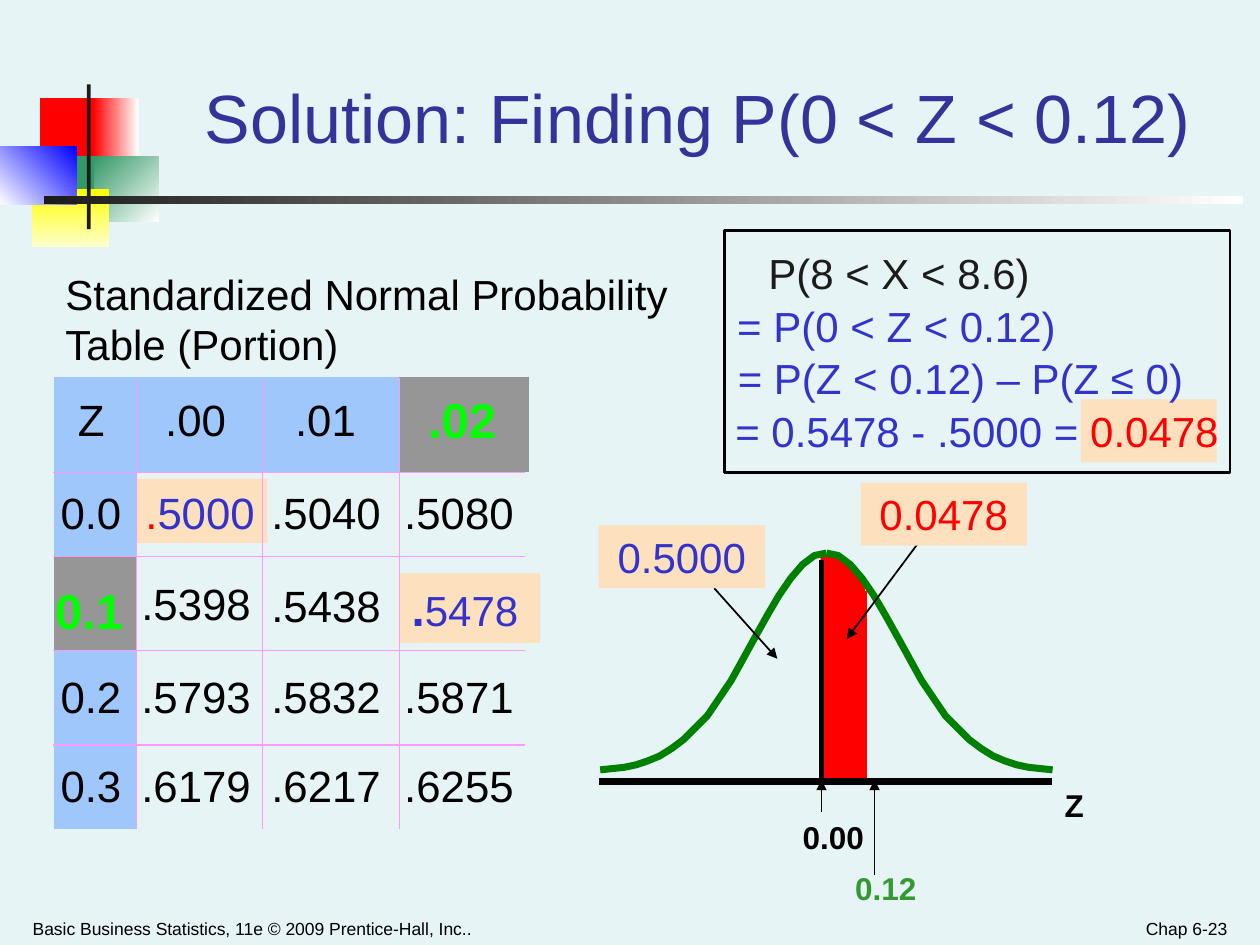
"""Build the slide that finds P(0 < Z < 0.12) from a standardized normal table."""
from dataclasses import dataclass
from itertools import accumulate
from typing import NamedTuple, Optional

from lxml.etree import SubElement
from pptx import Presentation
from pptx.dml.color import RGBColor
from pptx.enum.shapes import MSO_CONNECTOR, MSO_SHAPE
from pptx.enum.text import MSO_ANCHOR, PP_ALIGN
from pptx.oxml.ns import qn
from pptx.util import Cm, Pt


@dataclass(frozen=True)
class Theme:
    font: str = "Arial"
    back: str = "E7F4F5"
    black: str = "000000"
    dark: str = "1C1C1C"
    white: str = "FFFFFF"
    title: str = "333399"
    blue: str = "3333CC"
    red: str = "FF0000"
    lime: str = "00FF00"
    green: str = "339933"
    curve: str = "008000"
    head: str = "A0C7FC"
    gray: str = "969696"
    peach: str = "FDE0BD"
    grid: str = "FF99FF"
    title_pt: float = 39
    cell_pt: float = 25
    mark_pt: float = 28
    body_pt: float = 24
    axis_pt: float = 18
    foot_pt: float = 10


T = Theme()


class Box(NamedTuple):
    x: float
    y: float
    w: float
    h: float


class Block(NamedTuple):
    box: Box
    color: str
    end: Optional[str] = None
    angle: float = 0


class Line(NamedTuple):
    start: tuple
    end: tuple
    width: float = 1
    arrow: bool = True
    color: str = T.black


class Run(NamedTuple):
    text: str
    color: str = T.black
    size: float = T.body_pt
    bold: bool = False


class Mark(NamedTuple):
    runs: list
    shift: float
    drop: float = 0


BLOCKS = [
    Block(Box(0.81, 1.98, 1.22, 1.32), T.red),
    Block(Box(1.88, 1.98, 0.91, 1.32), T.red, T.white),
    Block(Box(1.9, 3.15, 1.3, 1.32), "339966", T.white, 45),
    Block(Box(1.09, 3.15, 0.81, 1.32), "339966"),
    Block(Box(0.64, 3.81, 1.55, 1.17), "FFFF00", "FFFFCC", 90),
    Block(Box(0, 2.95, 1.55, 1.17), T.white, "0000FF", 315),
    Block(Box(1.75, 1.7, 0.08, 2.92), T.dark),
    Block(Box(0.89, 3.96, 24.16, 0.15), T.dark, T.white),
    Block(Box(21.79, 8.05, 2.74, 1.27), T.peach),
    Block(Box(2.67, 9.65, 2.72, 1.3), T.peach),
    Block(Box(8.05, 11.56, 2.84, 1.4), T.peach),
]
ROWS = [
    ["Z", ".00", ".01", ".02"],
    ["0.0", ".5000", ".5040", ".5080"],
    ["0.1", ".5398", ".5438", ".5478"],
    ["0.2", ".5793", ".5832", ".5871"],
    ["0.3", ".6179", ".6217", ".6255"],
]
TABLE_X, TABLE_Y = 1.09, 7.59
COL_WIDTHS = [1.66, 2.54, 2.76, 2.62]
ROW_HEIGHTS = [1.93, 1.7, 1.9, 1.9, 1.7]
INDENTS = [0.13, 0.1, 0.18, 0.1]
HEAD_SHIFTS = [0.35, 0.48, 0.48, 0.48]
HEAD_LIFT = 0.12
MARKS = {
    (0, 3): Mark([Run(".02", T.lime, T.mark_pt, True)], HEAD_SHIFTS[3]),
    (2, 0): Mark([Run("0.1", T.lime, T.mark_pt, True)], -0.11, 0.37),
    (1, 1): Mark([Run(".", T.red, T.cell_pt), Run("5000", T.blue, T.cell_pt)], 0.08),
    (2, 3): Mark([Run(".", T.blue, 27, True), Run("5478", T.blue)], 0.15, 0.25),
    (2, 1): Mark([Run(".5398", size=T.cell_pt)], 0, 0.08),
    (2, 2): Mark([Run(".5438", size=T.cell_pt)], 0, 0.16),
}
MEAN_X, CURVE_STEP = 16.66, 0.24
CURVE = [(19, 15.52), (17, 15.47), (16, 15.42), (15, 15.34), (14, 15.24), (13, 15.09),
         (12, 14.91), (10, 14.43), (8, 13.72), (6, 12.85), (5, 12.42), (4, 12.01),
         (3, 11.66), (2, 11.38), (1, 11.2), (0, 11.15)]
AREA = [(16.56, 15.75), (16.56, 11.23), (16.89, 11.23), (17.15, 11.43),
        (17.4, 11.79), (17.43, 11.94), (17.43, 15.75)]
AREA_EDGE = Line((17.4, 11.91), (17.4, 15.72), 5, False, T.red)
MEAN_LINE = Line((16.56, 11.28), (16.56, 15.72), 2.5, False)
LINES = [
    Line((12.07, 15.75), (21.21, 15.75), 4, False),
    Line((18.62, 10.8), (17.07, 12.88)),
    Line((14.4, 11.86), (15.67, 13.28)),
    Line((16.56, 16.36), (16.56, 15.72)),
    Line((17.63, 17.63), (17.63, 15.72)),
]
FORMULAS = [
    (15.24, 5.77, [Run("P(8 < X < 8.6)", T.dark)]),
    (14.61, 6.93, [Run("= P(0 < Z < 0.12)", T.blue)]),
    (14.13, 10.47, [Run("= P(Z < 0.12) – P(Z ≤ 0)", T.blue)]),
    (14.4, 10.59, [Run("= 0.5478 - .5000 = ", T.blue), Run("0.0478", T.red)]),
]


def rgb(color: str) -> RGBColor:
    return RGBColor.from_string(color)


def write(p, runs: list) -> None:
    for item in runs:
        r = p.add_run()
        r.text = item.text
        r.font.name, r.font.size, r.font.bold = T.font, Pt(item.size), item.bold
        r.font.color.rgb = rgb(item.color)


def add_text(s, box: Box, *paragraphs: list, align=PP_ALIGN.LEFT, anchor=MSO_ANCHOR.TOP,
             wrap: bool = True, fill: Optional[str] = None, spacing: float = 1):
    sp = s.shapes.add_textbox(*map(Cm, box))
    if fill:
        sp.fill.solid()
        sp.fill.fore_color.rgb = rgb(fill)
    tf = sp.text_frame
    tf.word_wrap, tf.vertical_anchor = wrap, anchor
    for i, runs in enumerate(paragraphs):
        p = tf.add_paragraph() if i else tf.paragraphs[0]
        p.alignment, p.line_spacing = align, spacing
        write(p, runs)
    return sp


def add_block(s, block: Block) -> None:
    sp = s.shapes.add_shape(MSO_SHAPE.RECTANGLE, *map(Cm, block.box))
    sp.shadow.inherit = False
    sp.line.fill.background()
    if block.end is None:
        sp.fill.solid()
        sp.fill.fore_color.rgb = rgb(block.color)
        return
    sp.fill.gradient()
    sp.fill.gradient_angle = -block.angle % 360
    for stop, color in zip(sp.fill.gradient_stops, (block.color, block.end)):
        stop.color.rgb = rgb(color)


def add_line(s, line: Line) -> None:
    sp = s.shapes.add_connector(MSO_CONNECTOR.STRAIGHT, *map(Cm, line.start + line.end))
    sp.line.color.rgb, sp.line.width = rgb(line.color), Pt(line.width)
    if line.arrow:
        SubElement(sp._element.spPr.find(qn("a:ln")), qn("a:tailEnd"), type="triangle")
    SubElement(sp._element.spPr, qn("a:effectLst"))


def add_outline(s, points: list, color: str, width: float, closed: bool) -> None:
    pts = [(Cm(x), Cm(y)) for x, y in points]
    builder = s.shapes.build_freeform(*pts[0])
    builder.add_line_segments(pts[1:], close=closed)
    sp = builder.convert_to_shape()
    sp.shadow.inherit = False
    sp.line.color.rgb, sp.line.width = rgb(color), Pt(width)
    if closed:
        sp.fill.solid()
        sp.fill.fore_color.rgb = rgb(color)
    else:
        sp.fill.background()


def add_half_curve(s, side: int) -> None:
    points = [(MEAN_X + side * k * CURVE_STEP, y) for k, y in CURVE]
    add_outline(s, points, T.curve, 4, False)


def add_z_table(s) -> None:
    box = Box(TABLE_X, TABLE_Y, sum(COL_WIDTHS), sum(ROW_HEIGHTS))
    table = s.shapes.add_table(len(ROWS), len(COL_WIDTHS), *map(Cm, box)).table
    table.first_row = table.horz_banding = False
    style = table._tbl.tblPr.find(qn("a:tableStyleId"))
    style.text = "{2D5ABB26-0587-4C30-8999-92F81FD0307C}"
    for col, width in zip(table.columns, COL_WIDTHS):
        col.width = Cm(width)
    for i, height in enumerate(ROW_HEIGHTS):
        table.rows[i].height = Cm(height)
        for j, text in enumerate(ROWS[i]):
            cell = table.cell(i, j)
            plain = Mark([Run(text, size=T.cell_pt)], 0 if i else HEAD_SHIFTS[j])
            mark = MARKS.get((i, j), plain)
            cell.vertical_anchor = MSO_ANCHOR.MIDDLE
            cell.margin_left, cell.margin_top = Cm(INDENTS[j] + mark.shift), Cm(mark.drop)
            cell.margin_right, cell.margin_bottom = 0, Cm(0 if i else HEAD_LIFT)
            write(cell.text_frame.paragraphs[0], mark.runs)
            if i and j:
                cell.fill.background()
            else:
                cell.fill.solid()
                cell.fill.fore_color.rgb = rgb(T.gray if (i, j) in MARKS else T.head)
    for x in list(accumulate(COL_WIDTHS, initial=TABLE_X))[1:-1]:
        add_line(s, Line((x, 7.62), (x, 16.71), 0.75, False, T.grid))
    for y in list(accumulate(ROW_HEIGHTS, initial=TABLE_Y))[1:-1]:
        add_line(s, Line((1.07, y), (10.59, y), 0.75, False, T.grid))


def main() -> None:
    prs = Presentation()
    prs.slide_width, prs.slide_height = Cm(25.4), Cm(19.05)
    s = prs.slides.add_slide(prs.slide_layouts[6])
    s.background.fill.solid()
    s.background.fill.fore_color.rgb = rgb(T.back)
    for block in BLOCKS:
        add_block(s, block)
    add_text(s, Box(3.18, 0.84, 21.79, 3.18),
             [Run("Solution: Finding P(0 < Z < 0.12)", T.title, T.title_pt)],
             align=PP_ALIGN.CENTER, anchor=MSO_ANCHOR.MIDDLE, spacing=0.95)
    sp = add_text(s, Box(1.07, 5.28, 12.7, 2.21),
                  [Run("Standardized Normal Probability")], [Run("Table (Portion)")])
    p = sp.text_frame.paragraphs[1]
    p.line_spacing, p.space_before = 0.4, Pt(15)
    add_z_table(s)
    add_outline(s, AREA, T.red, 1, True)
    add_half_curve(s, 1)
    add_line(s, AREA_EDGE)
    add_line(s, MEAN_LINE)
    add_half_curve(s, -1)
    for line in LINES:
        add_line(s, line)
    frame = add_text(s, Box(14.61, 4.65, 10.19, 4.88))
    frame.line.color.rgb, frame.line.width = rgb(T.black), Pt(1.5)
    for i, (x, w, runs) in enumerate(FORMULAS):
        add_text(s, Box(x, 4.87 + 1.06 * i, w, 1.27), runs, align=PP_ALIGN.CENTER)
    for x, y, text, color in [(17.35, 9.73, "0.0478", T.red), (12.07, 10.59, "0.5000", T.blue)]:
        add_text(s, Box(x, y, 3.35, 1.27), [Run(text, color)], align=PP_ALIGN.CENTER, fill=T.peach)
    for x, y, w, text, color in [(21.21, 15.72, 1.07, "Z", T.black),
                                 (15.93, 16.36, 1.75, "0.00", T.black),
                                 (16.99, 17.4, 1.75, "0.12", T.green)]:
        add_text(s, Box(x, y, w, 1.02), [Run(text, color, T.axis_pt, True)], wrap=False)
    for x, w, text, align in [
            (0.41, 12.9, "Basic Business Statistics, 11e © 2009 Prentice-Hall, Inc..", PP_ALIGN.LEFT),
            (19.07, 5.92, "Chap 6-23", PP_ALIGN.RIGHT)]:
        add_text(s, Box(x, 18.16, w, 0.89), [Run(text, size=T.foot_pt)], align=align,
                 anchor=MSO_ANCHOR.BOTTOM)
    prs.save("out.pptx")


if __name__ == "__main__":
    main()
